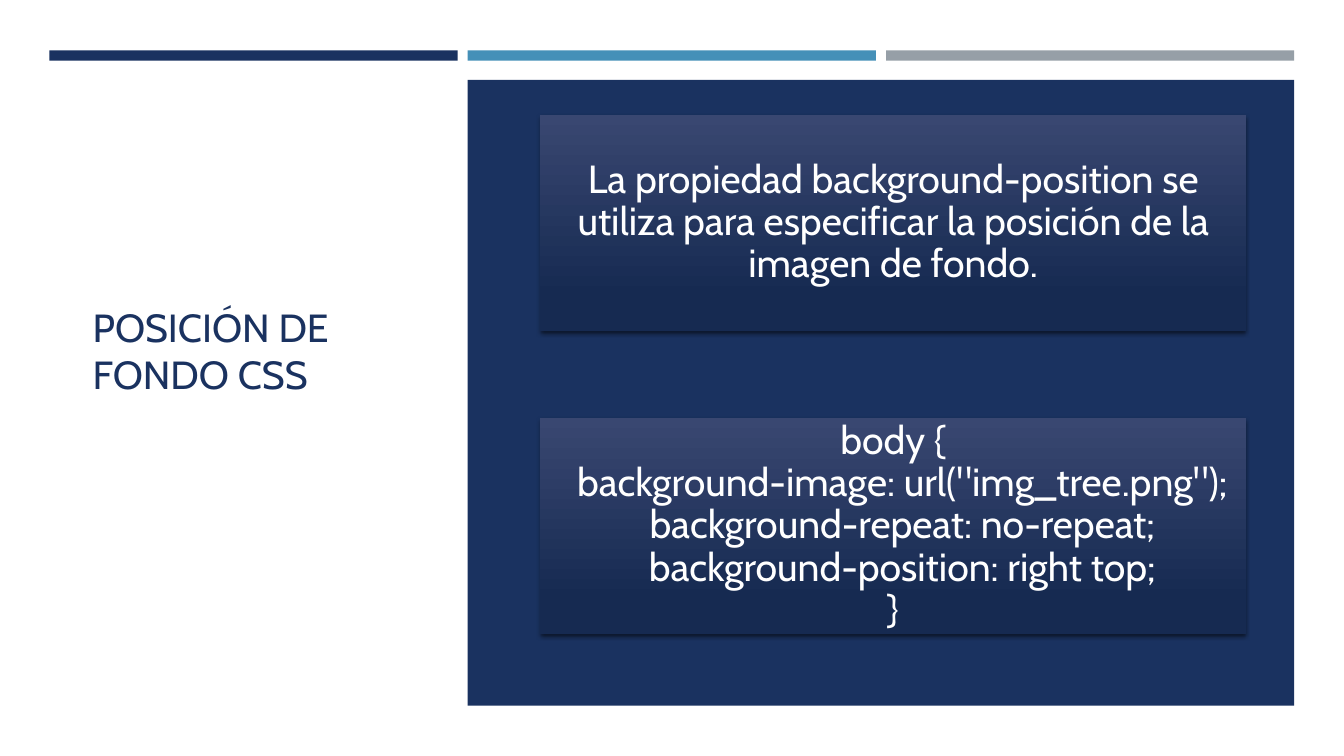
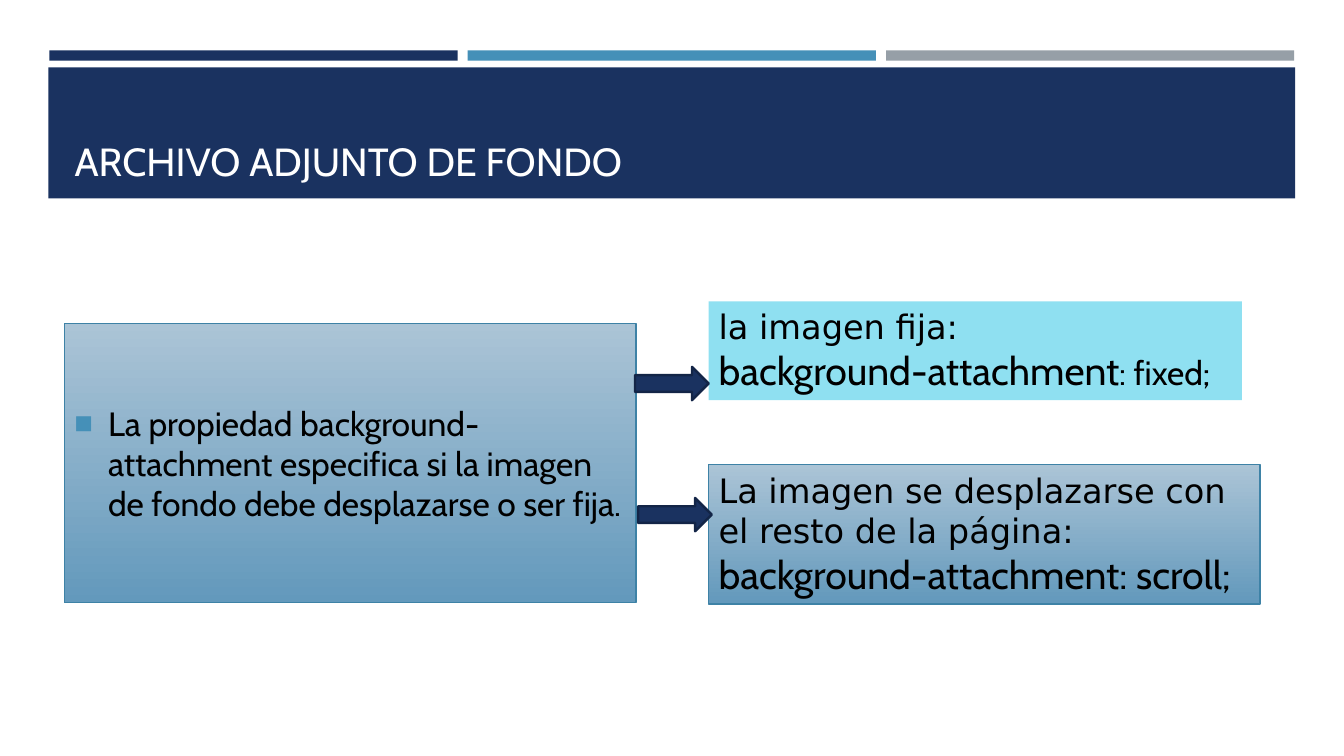
from lxml import etree
from pptx import Presentation
from pptx.dml.color import RGBColor
from pptx.enum.shapes import MSO_SHAPE
from pptx.enum.text import MSO_ANCHOR, MSO_AUTO_SIZE, PP_ALIGN
from pptx.oxml import parse_xml
from pptx.oxml.ns import nsdecls, qn
from pptx.util import Pt

NAVY, BLUE, GRAY = "1A3260", "4590B8", "969FA7"
WHITE, BLACK, CYAN = "FFFFFF", "000000", "8FE0F1"
CARD_STOPS = (("394771", 0), ("162A51", 0.84))
STEEL_STOPS = (("ABC4D6", 0), ("6399BC", 1))
STEEL_LINE, ARROW_LINE = "3E82A6", "132547"
BODY_FONT, PLAIN_FONT = "Cabin", "DejaVu Sans"

STRIPE_LEFT, STRIPE_TOP = 35.3, 36
STRIPE_WIDTH, STRIPE_HEIGHT, STRIPE_GAP = 291.6, 7.3, 7.2


def rgb(hex_color):
    return RGBColor.from_string(hex_color)


def place(sp, left, top, width, height):
    sp.left, sp.top, sp.width, sp.height = map(Pt, (left, top, width, height))


def add_box(slide, box, fill, line=None, line_width=1, shape=MSO_SHAPE.RECTANGLE):
    """Add a preset shape; fill is a hex colour or a pair of vertical gradient stops."""
    sp = slide.shapes.add_shape(shape, *map(Pt, box))
    sp.shadow.inherit = False
    if isinstance(fill, str):
        sp.fill.solid()
        sp.fill.fore_color.rgb = rgb(fill)
    else:
        sp.fill.gradient()
        sp.fill.gradient_angle = 270
        for stop, (color, position) in zip(sp.fill.gradient_stops, fill):
            stop.color.rgb = rgb(color)
            stop.position = position
    if line:
        sp.line.color.rgb = rgb(line)
        sp.line.width = Pt(line_width)
    else:
        sp.line.fill.background()
    return sp


def add_drop_shadow(sp):
    effects = sp.element.spPr.find(qn("a:effectLst"))
    effects.append(parse_xml(
        f'<a:outerShdw {nsdecls("a")} blurRad="{Pt(3)}" dist="{Pt(2)}" dir="5400000">'
        '<a:srgbClr val="000000"><a:alpha val="55000"/></a:srgbClr></a:outerShdw>'))


def set_frame(sp, anchor, margin=None):
    tf = sp.text_frame
    tf.word_wrap = True
    tf.auto_size = MSO_AUTO_SIZE.NONE
    tf.vertical_anchor = anchor
    if margin is not None:
        tf.margin_left = tf.margin_right = tf.margin_top = tf.margin_bottom = Pt(margin)
    return tf


def add_text(tf, text, size=28, font=BODY_FONT, color=BLACK, align=PP_ALIGN.LEFT,
             spacing=1.0, indent=0, same_line=False):
    """Write text as a new paragraph, or as a further run of the last one."""
    p = tf.paragraphs[-1]
    if p.runs and not same_line:
        p = tf.add_paragraph()
    p.alignment = align
    p.line_spacing = spacing
    if indent:
        p._p.get_or_add_pPr().set("marL", str(Pt(indent)))
    r = p.add_run()
    r.text = text
    r.font.size = Pt(size)
    r.font.name = font
    r.font.color.rgb = rgb(color)
    return p


def add_bullet(p, color, indent):
    pPr = p._p.get_or_add_pPr()
    pPr.set("marL", str(Pt(indent)))
    pPr.set("indent", str(-Pt(indent)))
    bullet_color = etree.SubElement(pPr, qn("a:buClr"))
    etree.SubElement(bullet_color, qn("a:srgbClr"), val=color)
    etree.SubElement(pPr, qn("a:buSzPct"), val="92000")
    etree.SubElement(pPr, qn("a:buFont"), typeface="Arial")
    etree.SubElement(pPr, qn("a:buChar"), char="■")


def add_slide(prs, title, title_box, title_color, anchor, panel_box):
    """Add a slide with the three stripes, a navy panel and its title on top."""
    slide = prs.slides.add_slide(prs.slide_layouts[5])
    for i, color in enumerate((NAVY, BLUE, GRAY)):
        left = STRIPE_LEFT + i * (STRIPE_WIDTH + STRIPE_GAP)
        add_box(slide, (left, STRIPE_TOP, STRIPE_WIDTH, STRIPE_HEIGHT), color)
    add_box(slide, panel_box, NAVY)
    sp = slide.shapes.title
    sp.element.getparent().append(sp.element)
    place(sp, *title_box)
    add_text(set_frame(sp, anchor), title, color=title_color)
    return slide


def add_card(slide, top, lines):
    """Add a shadowed card from (text, indent) lines."""
    sp = add_box(slide, (385.9, top, 504, 154.1), CARD_STOPS)
    add_drop_shadow(sp)
    tf = set_frame(sp, MSO_ANCHOR.MIDDLE, margin=1.4)
    for text, indent in lines:
        add_text(tf, text, color=WHITE, align=PP_ALIGN.CENTER, spacing=0.9, indent=indent)


def add_arrow(slide, left, top):
    add_box(slide, (left, top, 52.6, 23.8), NAVY, ARROW_LINE, 1.75, MSO_SHAPE.RIGHT_ARROW)


def build_position_slide(prs):
    slide = add_slide(prs, "POSICIÓN DE FONDO CSS", (59, 82, 240.5, 337), NAVY,
                      MSO_ANCHOR.MIDDLE, (334.1, 57, 590.4, 447))
    add_card(slide, 82.1, [("La propiedad background-position se utiliza para "
                            "especificar la posición de la imagen de fondo.", 0)])
    add_card(slide, 298.8, [("body {", 0),
                            ('background-image: url("img_tree.png");', 13),
                            ("background-repeat: no-repeat;", 13),
                            ("background-position: right top;", 13),
                            ("}", 0)])


def build_attachment_slide(prs):
    slide = add_slide(prs, "ARCHIVO ADJUNTO DE FONDO", (46.1, 55.4, 868.3, 79.9), WHITE,
                      MSO_ANCHOR.BOTTOM, (34.6, 48.2, 890.6, 93.6))

    summary = add_box(slide, (46.1, 231.1, 408.2, 199.4), STEEL_STOPS, STEEL_LINE)
    p = add_text(set_frame(summary, MSO_ANCHOR.MIDDLE),
                 "La propiedad background-attachment especifica si la imagen de fondo "
                 "debe desplazarse o ser fija.", size=24)
    p.space_before, p.space_after = Pt(4.8), Pt(6)
    add_bullet(p, BLUE, 24)

    fixed = add_box(slide, (506.2, 215.3, 380.9, 70.6), CYAN)
    tf = set_frame(fixed, MSO_ANCHOR.TOP)
    add_text(tf, "la imagen fija:", size=24, font=PLAIN_FONT)
    add_text(tf, "background-attachment")
    add_text(tf, ": fixed;", size=24, same_line=True)

    scroll = add_box(slide, (506.2, 331.9, 393.8, 99.4), STEEL_STOPS, STEEL_LINE)
    tf = set_frame(scroll, MSO_ANCHOR.TOP)
    add_text(tf, "La imagen se desplazarse con el resto de la página:", size=24, font=PLAIN_FONT)
    add_text(tf, "background-attachment: scroll;")

    add_arrow(slide, 453.6, 262.1)
    add_arrow(slide, 455.8, 355.7)


def main():
    prs = Presentation()
    prs.slide_width, prs.slide_height = Pt(960), Pt(540)
    build_position_slide(prs)
    build_attachment_slide(prs)
    prs.save("out.pptx")


if __name__ == "__main__":
    main()
